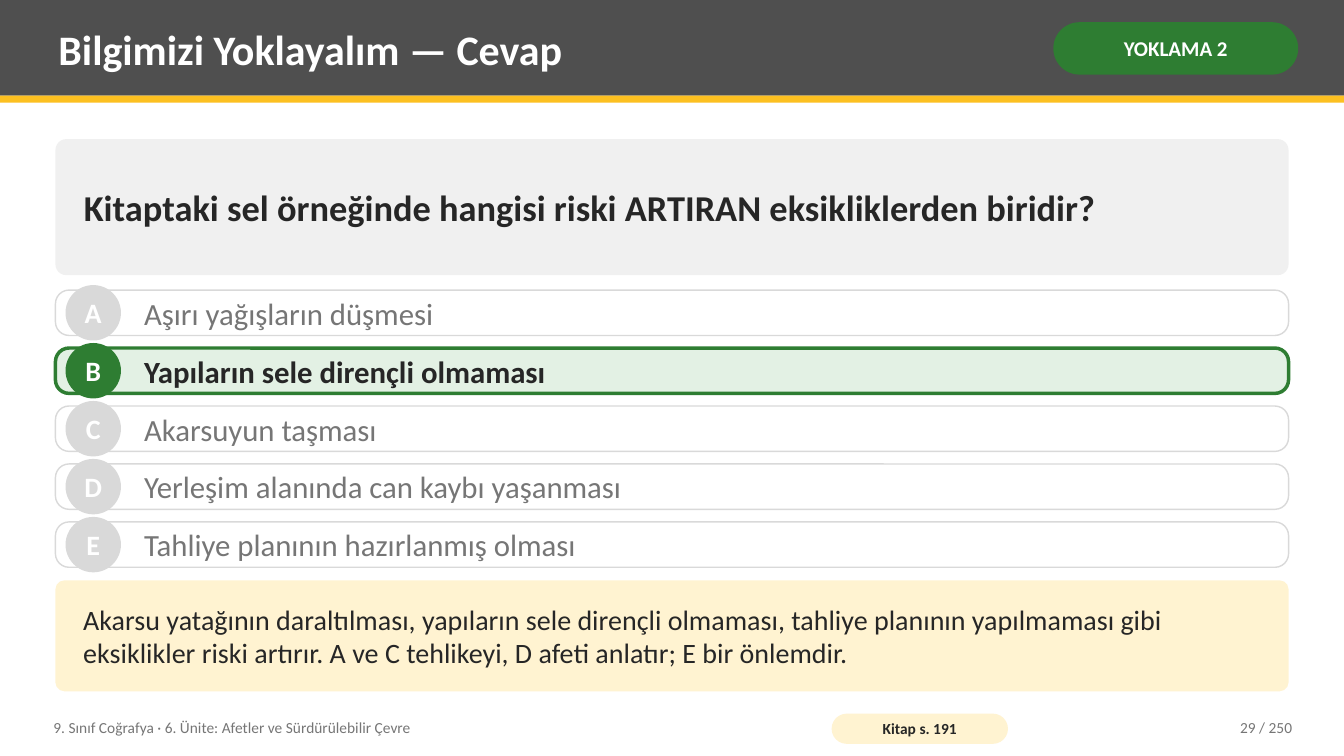
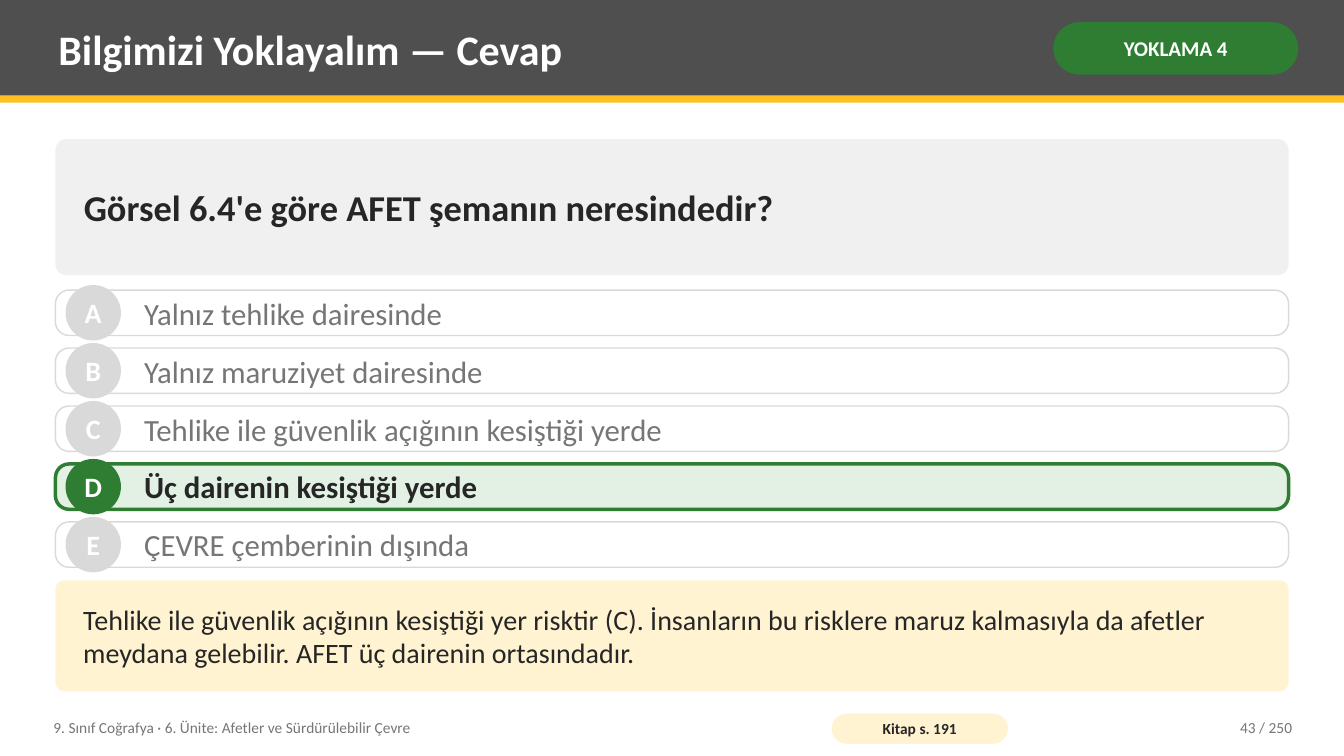
from pptx import Presentation
from pptx import util as u
from pptx.dml import color
from pptx.enum import shapes, text

Pt = u.Pt
Shape = shapes.MSO_SHAPE
Align = text.PP_ALIGN

COLORS = {
    "band": "4F4F4F", "accent": "FCC021", "green": "2E7D32", "pale_green": "E3F1E4",
    "panel": "F0F0F0", "cream": "FFF3D1", "border": "D9D9D9", "ink": "262626",
    "muted": "767676", "white": "FFFFFF",
}
WIDTH, HEIGHT = 960, 540
LEFT, CONTENT_WIDTH = 39.6, 880.8
ROW_TOP, ROW_HEIGHT, ROW_PITCH = 207.2, 32.4, 41.4
BADGE_SIZE = 39.6
TITLE = "Bilgimizi Yoklayalım — Cevap"
UNIT = "9. Sınıf Coğrafya · 6. Ünite: Afetler ve Sürdürülebilir Çevre"
PAGE_COUNT = 250

QUIZZES = [
    {
        "tag": "YOKLAMA 2",
        "question": "Kitaptaki sel örneğinde hangisi riski ARTIRAN eksikliklerden biridir?",
        "options": [
            "Aşırı yağışların düşmesi",
            "Yapıların sele dirençli olmaması",
            "Akarsuyun taşması",
            "Yerleşim alanında can kaybı yaşanması",
            "Tahliye planının hazırlanmış olması",
        ],
        "answer": "B",
        "explanation": "Akarsu yatağının daraltılması, yapıların sele dirençli olmaması, "
                       "tahliye planının yapılmaması gibi eksiklikler riski artırır. "
                       "A ve C tehlikeyi, D afeti anlatır; E bir önlemdir.",
        "book_page": "Kitap s. 191",
        "page": 29,
    },
    {
        "tag": "YOKLAMA 4",
        "question": "Görsel 6.4'e göre AFET şemanın neresindedir?",
        "options": [
            "Yalnız tehlike dairesinde",
            "Yalnız maruziyet dairesinde",
            "Tehlike ile güvenlik açığının kesiştiği yerde",
            "Üç dairenin kesiştiği yerde",
            "ÇEVRE çemberinin dışında",
        ],
        "answer": "D",
        "explanation": "Tehlike ile güvenlik açığının kesiştiği yer risktir (C). "
                       "İnsanların bu risklere maruz kalmasıyla da afetler meydana gelebilir. "
                       "AFET üç dairenin ortasındadır.",
        "book_page": "Kitap s. 191",
        "page": 43,
    },
]


def rgb(name):
    return color.RGBColor.from_string(COLORS[name])


class QuizDeck:
    """Holds the shared style and the slide being built."""

    font = "Calibri"

    def __init__(self):
        self.prs = Presentation()
        self.prs.slide_width, self.prs.slide_height = Pt(WIDTH), Pt(HEIGHT)
        self.slide = None

    def new_slide(self):
        self.slide = self.prs.slides.add_slide(self.prs.slide_layouts[6])

    # Basic elements
    def set_words(self, item, words, size, ink, bold=False, align=Align.LEFT,
                  inset=(5.76, 2.88), wrap=True):
        frame = item.text_frame
        frame.text = words
        frame.word_wrap = wrap
        frame.vertical_anchor = text.MSO_ANCHOR.MIDDLE
        frame.margin_left = frame.margin_right = Pt(inset[0])
        frame.margin_top = frame.margin_bottom = Pt(inset[1])
        paragraph = frame.paragraphs[0]
        paragraph.alignment = align
        font = paragraph.runs[0].font
        font.name, font.size, font.bold = self.font, Pt(size), bold
        font.color.rgb = rgb(ink)

    def label(self, box, words, size, ink, **style):
        self.set_words(self.slide.shapes.add_textbox(*map(Pt, box)), words, size, ink, **style)

    def block(self, box, fill, kind=Shape.RECTANGLE, radius=None, border=None, weight=1):
        item = self.slide.shapes.add_shape(kind, *map(Pt, box))
        item.shadow.inherit = False
        item.fill.solid()
        item.fill.fore_color.rgb = rgb(fill)
        if border:
            item.line.color.rgb = rgb(border)
            item.line.width = Pt(weight)
        else:
            item.line.fill.background()
        if radius is not None:
            item.adjustments[0] = radius
        return item

    def rounded(self, box, fill, radius, **border):
        return self.block(box, fill, Shape.ROUNDED_RECTANGLE, radius, **border)

    def pill(self, box, fill, words, size, ink, inset):
        self.set_words(self.rounded(box, fill, 0.5), words, size, ink,
                       bold=True, align=Align.CENTER, inset=inset)

    def panel(self, top, height, fill, words, size, bold=False):
        panel = self.rounded((LEFT, top, CONTENT_WIDTH, height), fill, 0.08)
        self.set_words(panel, words, size, "ink", bold=bold, inset=(18, 5.76))

    # Parts of a quiz slide
    def header(self, tag):
        self.block((0, 0, WIDTH, 68.4), "band")
        self.block((0, 68.4, WIDTH, 5.04), "accent")
        self.label((36, 5.04, 702, 59.04), TITLE, 30, "white", bold=True)
        self.pill((752.4, 15.84, 174.96, 37.44), "green", tag, 15, "white", (3.6, 1.44))

    def option(self, index, letter, words, correct):
        top = ROW_TOP + index * ROW_PITCH
        row = (LEFT, top, CONTENT_WIDTH, ROW_HEIGHT)
        accent = "green" if correct else "border"
        self.rounded(row, "pale_green" if correct else "white", 0.3,
                     border=accent, weight=2.5 if correct else 1)
        badge_top = top + (ROW_HEIGHT - BADGE_SIZE) / 2
        badge = self.block((46.8, badge_top, BADGE_SIZE, BADGE_SIZE), accent, Shape.OVAL)
        self.set_words(badge, letter, 20, "white", bold=True, align=Align.CENTER,
                       inset=(0, 0), wrap=False)
        self.label((97.2, top, 808.8, ROW_HEIGHT), words, 22,
                   "ink" if correct else "muted", bold=correct)

    def footer(self, book_page, page):
        self.label((32.4, 506.88, 547.2, 25.92), UNIT, 11, "muted")
        self.pill((594, 509.76, 126, 21.6), "cream", book_page, 11, "ink", (2.88, 0))
        self.label((813.6, 506.88, 115.2, 25.92), f"{page} / {PAGE_COUNT}", 11, "muted",
                   align=Align.RIGHT)

    def quiz(self, quiz):
        self.new_slide()
        self.header(quiz["tag"])
        self.panel(99.36, 97.2, "panel", quiz["question"], 26, bold=True)
        for index, (letter, words) in enumerate(zip("ABCDE", quiz["options"])):
            self.option(index, letter, words, letter == quiz["answer"])
        self.panel(414.6, 79.2, "cream", quiz["explanation"], 20)
        self.footer(quiz["book_page"], quiz["page"])


def main():
    deck = QuizDeck()
    for quiz in QUIZZES:
        deck.quiz(quiz)
    deck.prs.save("out.pptx")


if __name__ == "__main__":
    main()
